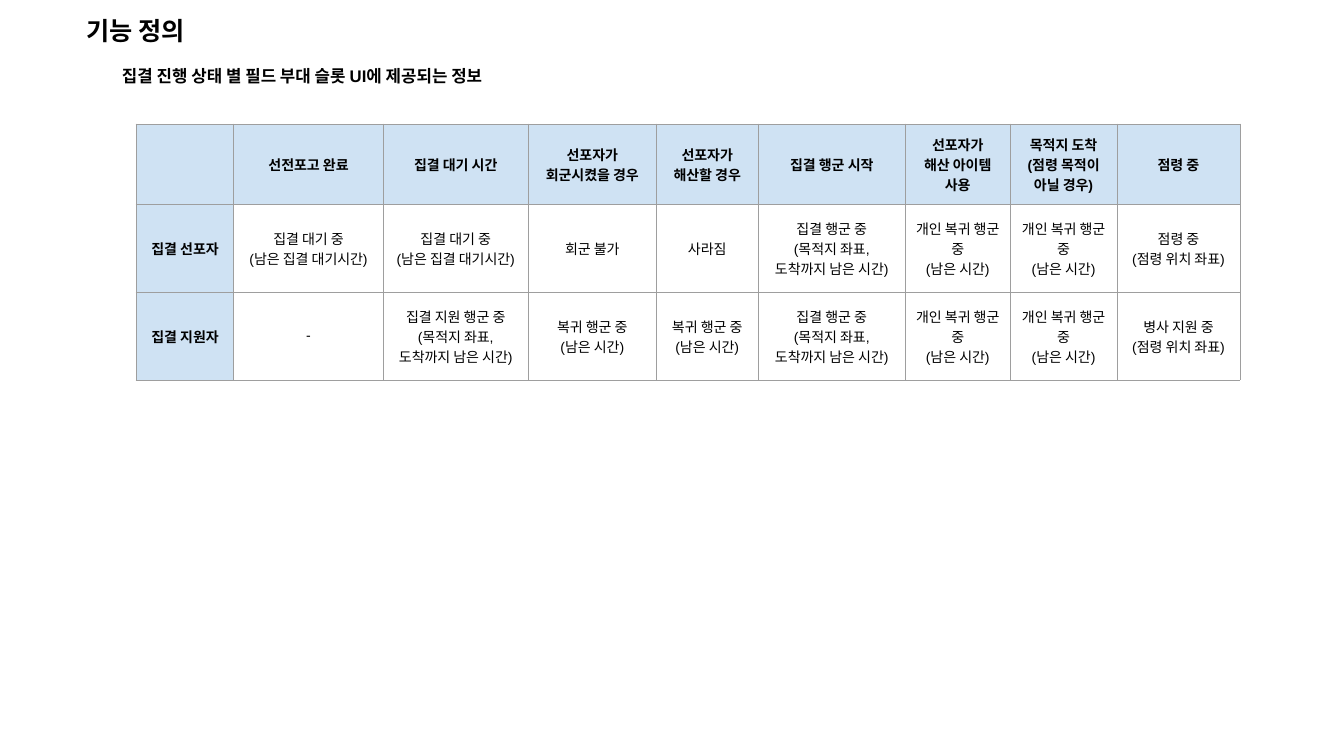
import pptx
import pptx.dml.color
import pptx.enum.text
import pptx.oxml
import pptx.oxml.ns
import pptx.util

Inches, Pt = pptx.util.Inches, pptx.util.Pt
ALIGN = pptx.enum.text.PP_ALIGN
ANCHOR = pptx.enum.text.MSO_ANCHOR

TITLE = "기능 정의"
LEAD = "집결 진행 상태 별 필드 부대 슬롯 UI에 제공되는 정보"
WAIT = "집결 대기 중\n(남은 집결 대기시간)"
MARCH = "집결 행군 중\n(목적지 좌표, 도착까지 남은 시간)"
BACK = "복귀 행군 중\n(남은 시간)"
HOME = "개인 " + BACK
ROWS = [
    ["", "선전포고 완료", "집결 대기 시간", "선포자가 회군시켰을 경우",
     "선포자가\n해산할 경우", "집결 행군 시작", "선포자가\n해산 아이템 사용",
     "목적지 도착\n(점령 목적이 아닐 경우)", "점령 중"],
    ["집결 선포자", WAIT, WAIT, "회군 불가", "사라짐", MARCH, HOME, HOME,
     "점령 중\n(점령 위치 좌표)"],
    ["집결 지원자", "-", "집결 지원 행군 중\n(목적지 좌표,\n도착까지 남은 시간)",
     BACK, BACK, MARCH, HOME, HOME, "병사 지원 중\n(점령 위치 좌표)"],
]
WIDTHS = [0.97, 1.48, 1.44, 1.27, 1.01, 1.46, 1.04, 1.06, 1.22]
HEIGHTS = [0.53, 0.87, 0.87]
LEFT, TOP = 1.35, 1.23
INK, HEAD, RULE = "000000", "CFE2F3", "9E9E9E"


def color(code):
    return pptx.dml.color.RGBColor.from_string(code)


def put(item, values):
    for name, value in values.items():
        setattr(item, name, value)


def style(para, size, bold):
    put(para.font, {"size": Pt(size), "bold": bold, "name": "Arial"})
    para.font.color.rgb = color(INK)


def place(shape, text, box, size, spacing):
    """Fill and move a placeholder holding one bold line."""
    put(shape, dict(zip(("left", "top", "width", "height"), map(Inches, box))))
    frame = shape.text_frame
    frame.text = text
    put(frame, {"word_wrap": True, "vertical_anchor": ANCHOR.TOP,
                "auto_size": pptx.enum.text.MSO_AUTO_SIZE.NONE,
                "margin_left": Inches(0.1), "margin_right": Inches(0.1),
                "margin_top": Inches(0.05), "margin_bottom": Inches(0.05)})
    para = frame.paragraphs[0]
    props = para._p.get_or_add_pPr()
    props.set("marL", "0")
    props.set("indent", "0")
    props.append(pptx.oxml.parse_xml(
        f'<a:buNone {pptx.oxml.ns.nsdecls("a")}/>'))
    put(para, {"alignment": ALIGN.LEFT, "line_spacing": spacing,
               "space_before": Pt(0)})
    style(para, size, True)


def border(cell):
    props = cell._tc.get_or_add_tcPr()
    for side in "LRTB":
        props.append(pptx.oxml.parse_xml(
            f'<a:ln{side} {pptx.oxml.ns.nsdecls("a")} w="{Pt(0.75)}">'
            f'<a:solidFill><a:srgbClr val="{RULE}"/></a:solidFill></a:ln{side}>'))


def fill_cell(cell, text, head):
    border(cell)
    if head:
        cell.fill.solid()
        cell.fill.fore_color.rgb = color(HEAD)
    else:
        cell.fill.background()
    put(cell, {"vertical_anchor": ANCHOR.MIDDLE})
    put(cell, {f"margin_{side}": Inches(0.1)
               for side in ("left", "right", "top", "bottom")})
    para = cell.text_frame.paragraphs[0]
    para.text = text.replace("\n", "\v")
    para.alignment = ALIGN.CENTER
    style(para, 10, head)


def main():
    deck = pptx.Presentation()
    put(deck, {"slide_width": Inches(13.33), "slide_height": Inches(7.5)})
    slide = deck.slides.add_slide(deck.slide_layouts[1])
    place(slide.shapes.title, TITLE, (0.76, 0.1, 1.3, 0.4), 18, 1.0)
    place(slide.placeholders[1], LEAD, (1.11, 0.5, 12.22, 0.4), 12, 1.5)
    grid = slide.shapes.add_table(
        len(ROWS), len(WIDTHS), Inches(LEFT), Inches(TOP),
        Inches(sum(WIDTHS)), Inches(sum(HEIGHTS))).table
    put(grid, {"first_row": False, "horz_banding": False})
    for col, width in zip(grid.columns, WIDTHS):
        col.width = Inches(width)
    for row, height in zip(grid.rows, HEIGHTS):
        row.height = Inches(height)
    for r, row in enumerate(ROWS):
        for c, text in enumerate(row):
            fill_cell(grid.cell(r, c), text, r == 0 or c == 0)
    deck.save("out.pptx")


if __name__ == "__main__":
    main()
